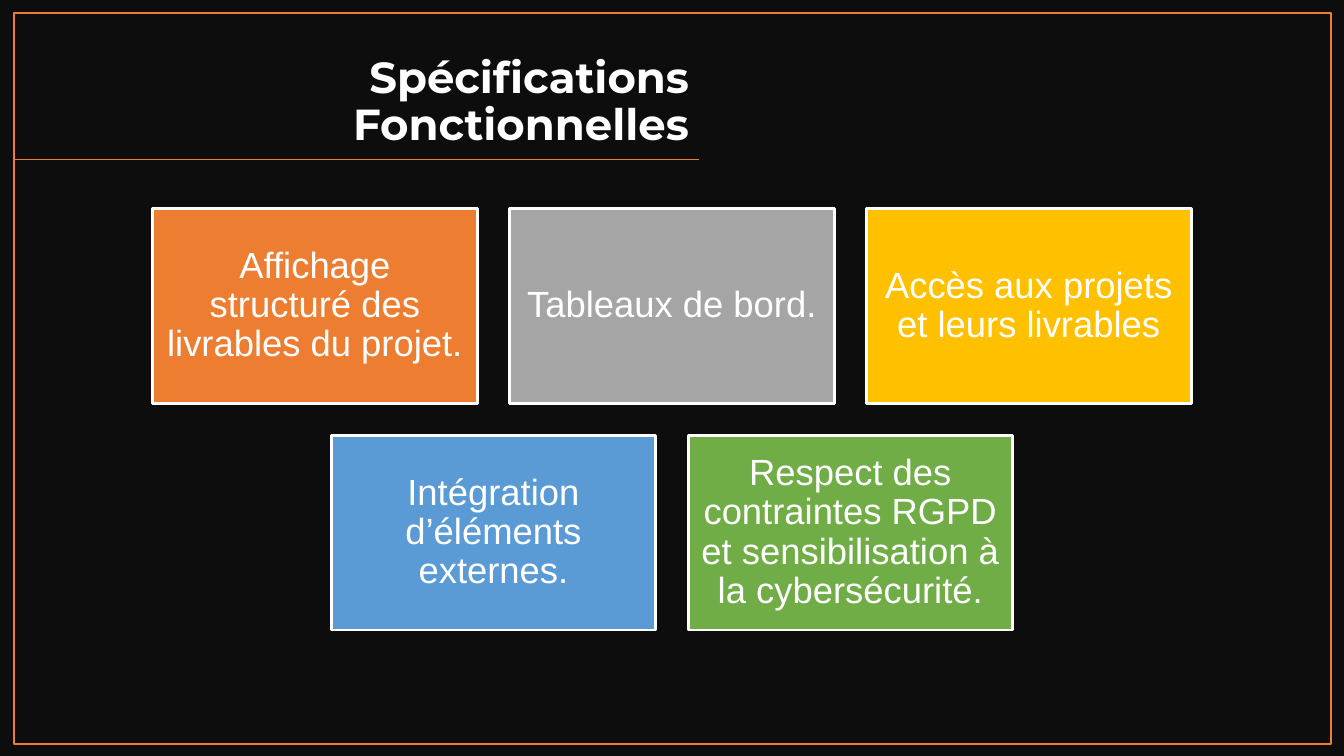
from pptx import Presentation
from pptx.dml.color import RGBColor
from pptx.enum.shapes import MSO_CONNECTOR as CONNECTOR, MSO_SHAPE as SHAPE
from pptx.enum.text import MSO_ANCHOR as ANCHOR, PP_ALIGN as ALIGN
from pptx.oxml.ns import qn
from pptx.util import Inches, Pt
from lxml import etree

BLACK = RGBColor(0x0D, 0x0D, 0x0D)
WHITE = RGBColor(0xFF, 0xFF, 0xFF)
ORANGE = RGBColor(0xED, 0x7D, 0x31)
GREY = RGBColor(0xA5, 0xA5, 0xA5)
GOLD = RGBColor(0xFF, 0xC0, 0x00)
BLUE = RGBColor(0x5B, 0x9B, 0xD5)
GREEN = RGBColor(0x70, 0xAD, 0x47)

SLIDE_W, SLIDE_H = 13.33, 7.5
CARD_W, CARD_H = 3.22, 1.93
GAP = 0.32
ROWS_TOP = 2.07

CARD_ROWS = [
    [("Affichage structuré des livrables du projet.", ORANGE),
     ("Tableaux de bord.", GREY),
     ("Accès aux projets et leurs livrables", GOLD)],
    [("Intégration d’éléments externes.", BLUE),
     ("Respect des contraintes RGPD et sensibilisation à la cybersécurité.", GREEN)],
]
TITLE_FONT = {"name": "Montserrat", "size": Pt(31), "bold": True}
CARD_FONT = {"name": "Arial", "size": Pt(26), "bold": False}


def add_box(left, top, width, height, fill=None, line=None, weight=1):
    box = slide.shapes.add_shape(
        SHAPE.RECTANGLE, Inches(left), Inches(top), Inches(width), Inches(height))
    box.shadow.inherit = False
    for part, color in ((box.fill, fill), (box.line.fill, line)):
        if color is None:
            part.background()
        else:
            part.solid()
            part.fore_color.rgb = color
    if line is not None:
        box.line.width = Pt(weight)
    return box


def write(shape, text, font_format, align, anchor, margins):
    frame = shape.text_frame
    frame.word_wrap = True
    frame.vertical_anchor = anchor
    for side, margin in margins.items():
        setattr(frame, f"margin_{side}", Inches(margin))
    paragraph = frame.paragraphs[0]
    paragraph.alignment = align
    paragraph.line_spacing = 0.9
    run = paragraph.add_run()
    run.text = text
    run.font.color.rgb = WHITE
    for attribute, value in font_format.items():
        setattr(run.font, attribute, value)


prs = Presentation()
prs.slide_width, prs.slide_height = Inches(SLIDE_W), Inches(SLIDE_H)
slide = prs.slides.add_slide(prs.slide_layouts[6])

add_box(0, 0, SLIDE_W, SLIDE_H, fill=BLACK)

title = slide.shapes.add_textbox(Inches(0.92), Inches(0.42), Inches(6.01), Inches(1.12))
write(title, "Spécifications Fonctionnelles", TITLE_FONT, ALIGN.RIGHT, ANCHOR.BOTTOM,
      {"left": 0.1, "right": 0.1, "top": 0.05, "bottom": 0.05})

title_rule = slide.shapes.add_connector(
    CONNECTOR.STRAIGHT, Inches(6.93), Inches(1.58), Inches(0.14), Inches(1.58))
title_rule.line.color.rgb = ORANGE
title_rule.line.width = Pt(1)
etree.SubElement(title_rule._element.spPr, qn("a:effectLst"))

add_box(0.14, 0.13, 13.06, 7.25, line=ORANGE)

for row, cards in enumerate(CARD_ROWS):
    row_width = len(cards) * CARD_W + (len(cards) - 1) * GAP
    row_left = (SLIDE_W - row_width) / 2
    for column, (feature, color) in enumerate(cards):
        card = add_box(row_left + column * (CARD_W + GAP), ROWS_TOP + row * (CARD_H + GAP),
                       CARD_W, CARD_H, fill=color, line=WHITE, weight=2)
        write(card, feature, CARD_FONT, ALIGN.CENTER, ANCHOR.MIDDLE,
              dict.fromkeys(("left", "right", "top", "bottom"), 0.11))

prs.save("out.pptx")
